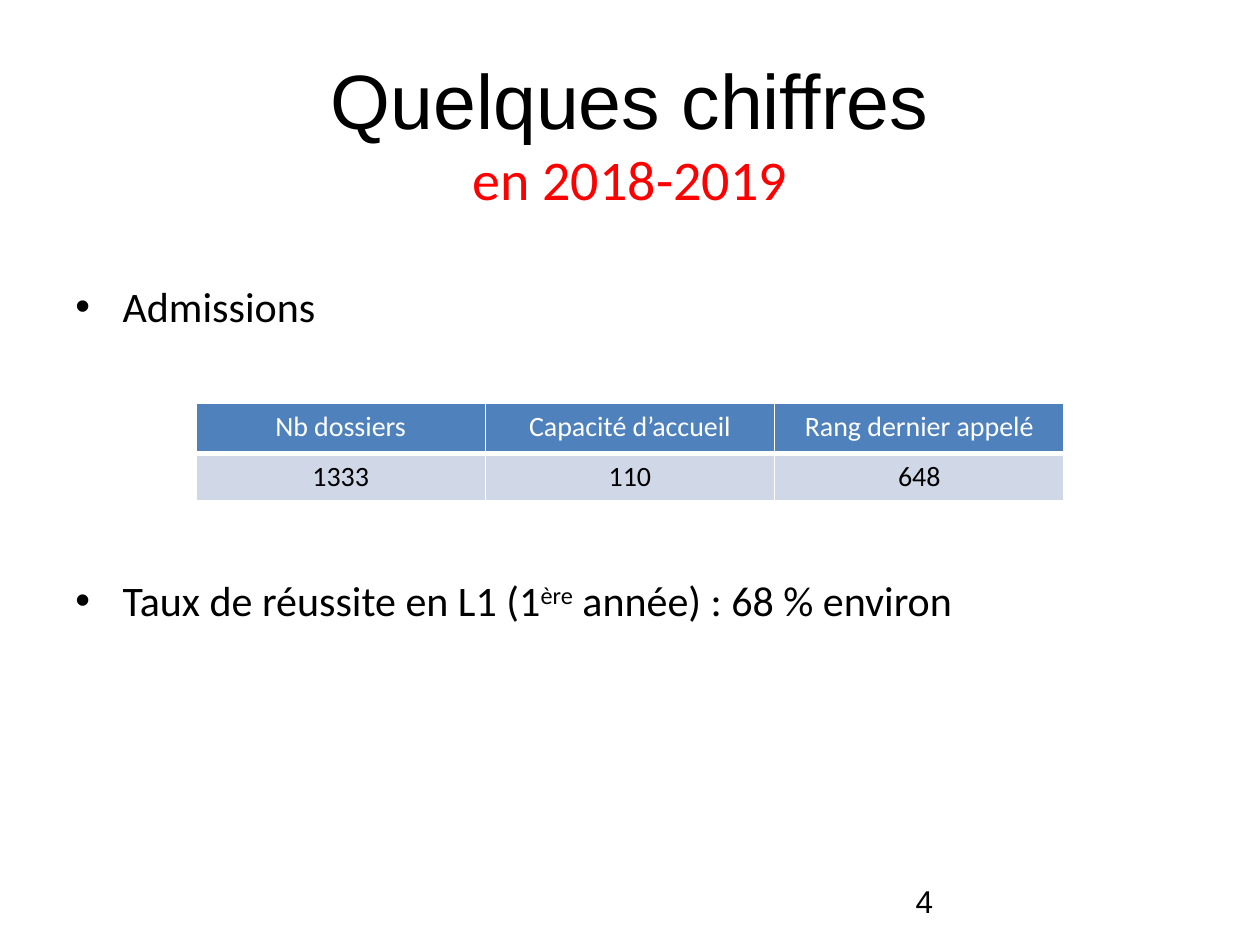
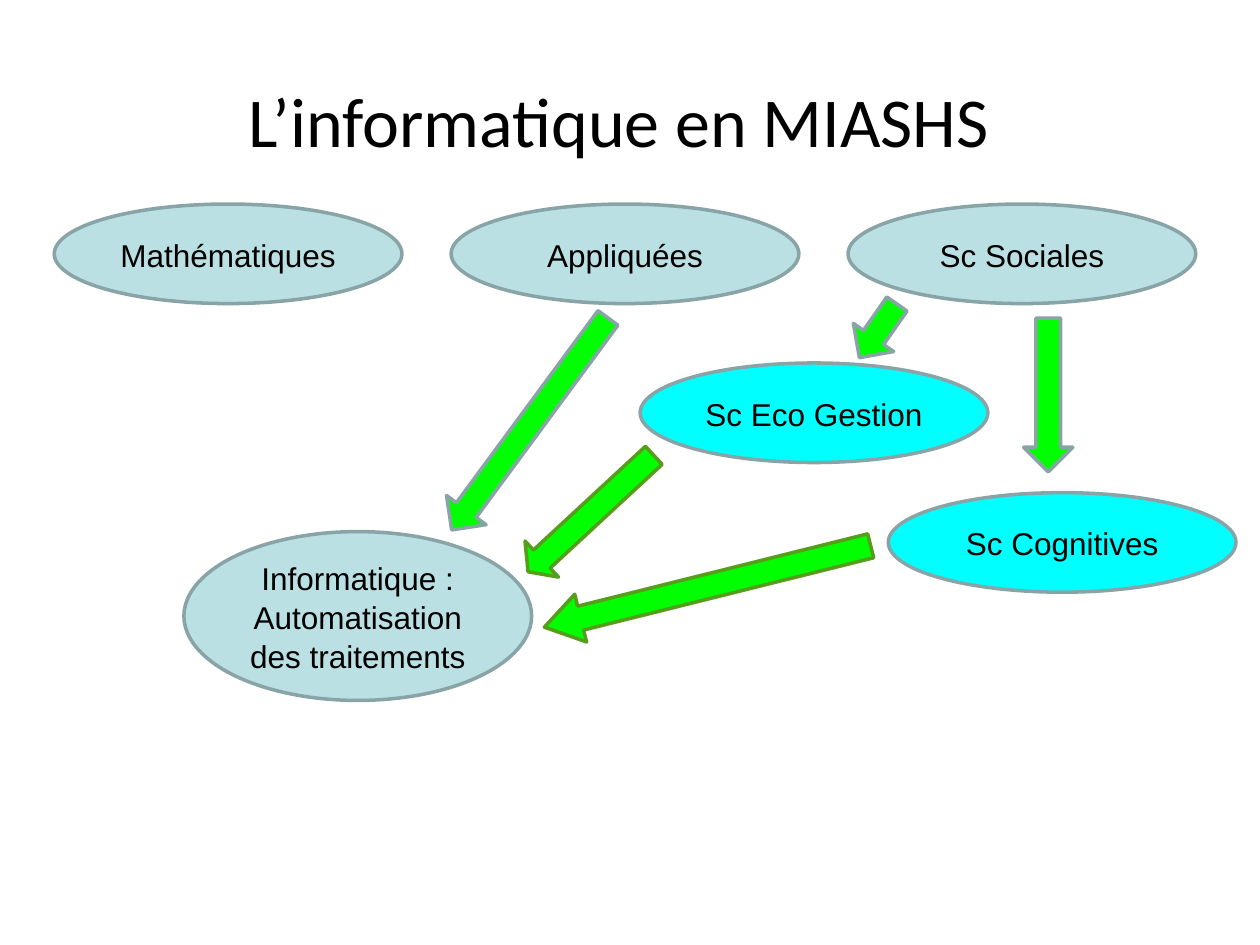
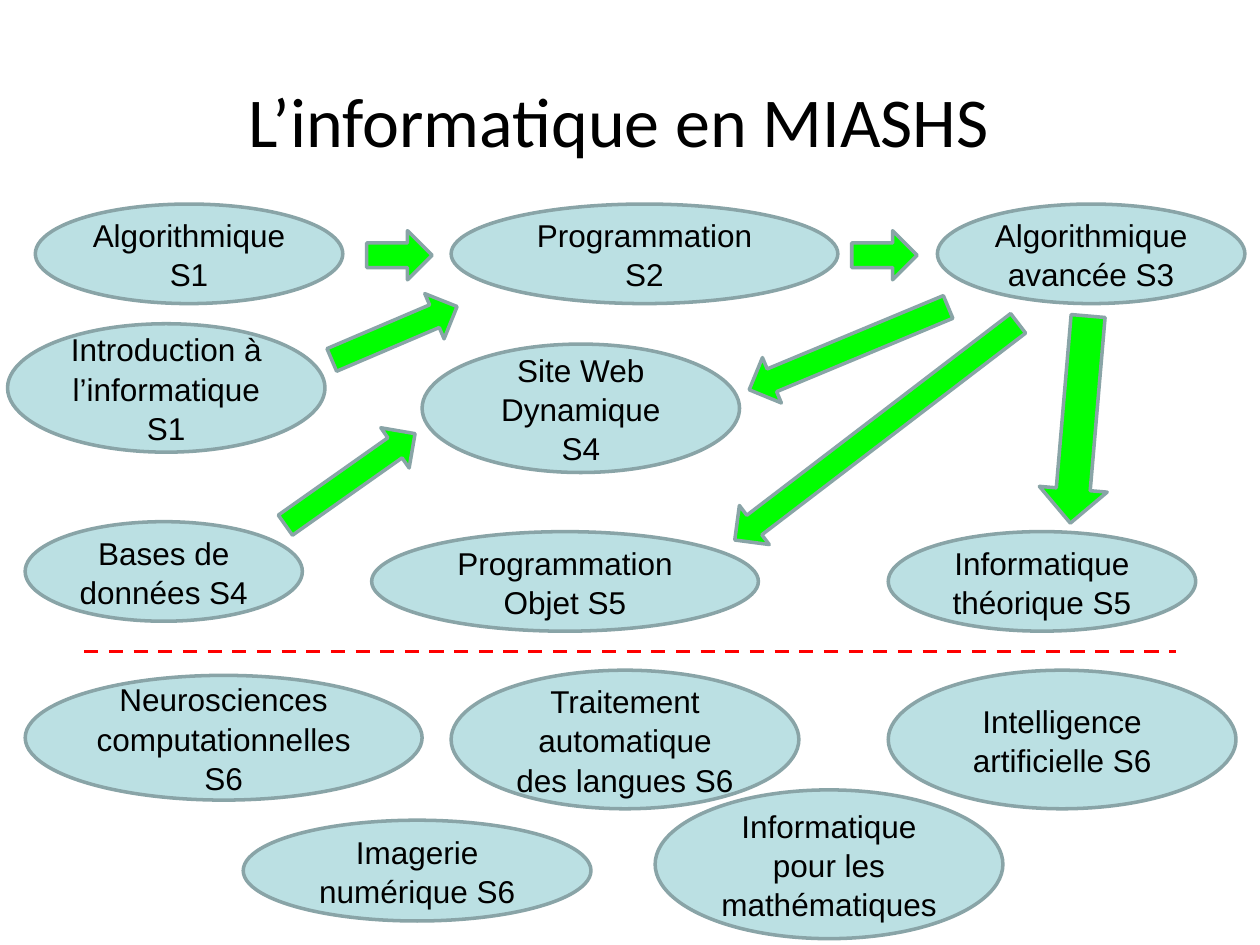
from dataclasses import dataclass

from lxml import etree
from pptx import Presentation
from pptx import util as u
from pptx.dml.color import RGBColor
from pptx.enum import dml, shapes, text
from pptx.oxml.ns import qn

Pt = u.Pt


@dataclass(frozen=True)
class Theme:
    black: str = "000000"
    white: str = "FFFFFF"
    red: str = "FF0000"
    header: str = "4F81BD"
    body_row: str = "D0D8E8"
    topic: str = "BBE0E3"
    option: str = "00FFFF"
    arrow: str = "00FF00"
    outline: str = "89A4A7"
    dark_green: str = "579D1C"
    sans: str = "Arial"
    text_font: str = "Calibri"
    headline: int = 44
    title: int = 40
    subtitle: int = 32
    body: int = 24
    label: int = 18
    cell: int = 16
    stroke: int = 2


THEME = Theme()
OVAL_W, OVAL_H = 198.7, 56.9
ARROW_H = 28.1
TOP_ROW = 116.6


def rgb(color):
    return RGBColor.from_string(color)


def add_span(para, words, size=THEME.label, font=THEME.sans, color=THEME.black, raised=0):
    """Append a run; raised is its superscript offset in percent."""
    span = para.add_run()
    span.text = words
    span.font.size = Pt(size)
    span.font.name = font
    span.font.color.rgb = rgb(color)
    if raised:
        span.font._element.set("baseline", str(raised * 1000))


def add_box(page, left, top, width, height, anchor=text.MSO_ANCHOR.TOP, inset_top=3.6):
    frame = page.shapes.add_textbox(Pt(left), Pt(top), Pt(width), Pt(height)).text_frame
    frame.word_wrap = True
    frame.vertical_anchor = anchor
    frame.margin_top = Pt(inset_top)
    return frame


def add_title(page, words):
    frame = add_box(page, 29.5, 25.9, 648, 79.2, text.MSO_ANCHOR.MIDDLE, inset_top=9)
    para = frame.paragraphs[0]
    para.alignment = text.PP_ALIGN.CENTER
    add_span(para, words, size=THEME.title, font=THEME.text_font)


def make_bullet(para, indent=27):
    props = para._p.get_or_add_pPr()
    props.set("marL", str(Pt(indent)))
    props.set("indent", str(-Pt(indent)))
    etree.SubElement(props, qn("a:buFont"), typeface=THEME.sans)
    etree.SubElement(props, qn("a:buChar"), char="•")


def add_border(cell, side, width):
    line = etree.SubElement(cell._tc.get_or_add_tcPr(), qn(f"a:ln{side}"), w=str(Pt(width)))
    fill = etree.SubElement(line, qn("a:solidFill"))
    etree.SubElement(fill, qn("a:srgbClr"), val=THEME.white)


def add_table(page, rows, left, top, width, heights):
    """Add a table whose first row is the header."""
    frame = page.shapes.add_table(len(rows), len(rows[0]), Pt(left), Pt(top),
                                  Pt(width), Pt(sum(heights)))
    table = frame.table
    table.first_row = table.horz_banding = False
    for row, height in zip(table.rows, heights):
        row.height = Pt(height)
    for r, values in enumerate(rows):
        is_header = r == 0
        for c, value in enumerate(values):
            cell = table.cell(r, c)
            for side in "LRTB":
                under_header = (is_header and side == "B") or (r == 1 and side == "T")
                add_border(cell, side, 3 if under_header else 1)
            cell.fill.solid()
            cell.fill.fore_color.rgb = rgb(THEME.header if is_header else THEME.body_row)
            para = cell.text_frame.paragraphs[0]
            para.alignment = text.PP_ALIGN.CENTER
            add_span(para, value, size=THEME.cell, font=THEME.text_font,
                     color=THEME.white if is_header else THEME.black)


def add_figure(page, kind, left, top, width, height, fill, outline):
    figure = page.shapes.add_shape(kind, Pt(left), Pt(top), Pt(width), Pt(height))
    figure.shadow.inherit = False
    figure.fill.solid()
    figure.fill.fore_color.rgb = rgb(fill)
    figure.line.color.rgb = rgb(outline)
    figure.line.width = Pt(THEME.stroke)
    return figure


def add_oval(page, words, left, top, width=OVAL_W, height=OVAL_H, fill=THEME.topic):
    """Add a labelled ellipse; each line of words is a paragraph."""
    oval = add_figure(page, shapes.MSO_SHAPE.OVAL, left, top, width, height,
                      fill, THEME.outline)
    frame = oval.text_frame
    frame.word_wrap = True
    frame.vertical_anchor = text.MSO_ANCHOR.MIDDLE
    for i, line in enumerate(words.split("\n")):
        para = frame.add_paragraph() if i else frame.paragraphs[0]
        para.alignment = text.PP_ALIGN.CENTER
        para.line_spacing = 1.04
        add_span(para, line)


def add_arrow(page, left, top, length, angle=0, thickness=ARROW_H, head=0.5,
              outline=THEME.outline):
    arrow = add_figure(page, shapes.MSO_SHAPE.RIGHT_ARROW, left, top, length, thickness,
                       THEME.arrow, outline)
    arrow.rotation = angle
    arrow.adjustments[1] = head


def add_separator(page, left, right, y):
    rule = page.shapes.add_connector(shapes.MSO_CONNECTOR.STRAIGHT,
                                     Pt(left), Pt(y), Pt(right), Pt(y))
    rule.line.color.rgb = rgb(THEME.red)
    rule.line.width = Pt(THEME.stroke)
    rule.line.dash_style = dml.MSO_LINE.DASH
    etree.SubElement(rule._element.spPr, qn("a:effectLst"))


def build_figures(page):
    heading = add_box(page, 36, 21.6, 648, 43.9, inset_top=8.3).paragraphs[0]
    heading.alignment = text.PP_ALIGN.CENTER
    add_span(heading, "Quelques chiffres", size=THEME.headline)
    heading.add_line_break()
    add_span(heading, "en 2018-2019", size=THEME.subtitle, font=THEME.text_font,
             color=THEME.red)

    frame = add_box(page, 36, 157, 648, 278)
    admissions, success = frame.paragraphs[0], frame.add_paragraph()
    success.space_before = Pt(139)
    body = dict(size=THEME.body, font=THEME.text_font)
    add_span(admissions, "Admissions", **body)
    add_span(success, "Taux de réussite en L1 (1", **body)
    add_span(success, "ère", raised=30, **body)
    add_span(success, " année) : 68 % environ", **body)
    for para in (admissions, success):
        make_bullet(para)

    add_span(add_box(page, 516.2, 500.4, 167.8, 28.8).paragraphs[0], "4")
    add_table(page, [("Nb dossiers", "Capacité d’accueil", "Rang dernier appelé"),
                     ("1333", "110", "648")],
              left=112, top=230.4, width=496, heights=(28.8, 26.7))


def build_disciplines(page):
    add_title(page, "L’informatique en MIASHS")
    for i, words in enumerate(("Mathématiques", "Appliquées", "Sc Sociales")):
        add_oval(page, words, 31 + 226.8 * i, TOP_ROW)
    add_oval(page, "Sc Cognitives", 507.6, 281.5, fill=THEME.option)
    add_oval(page, "Sc Eco Gestion", 365.8, 207.4, fill=THEME.option)
    add_oval(page, "Informatique :\nAutomatisation des traitements", 105.1, 303.8, height=96.5)

    add_arrow(page, 483.1, 175, 37.4, 125)
    add_arrow(page, 555.1, 211.7, 87.8, 90)
    add_arrow(page, 227.5, 228.2, 150.5, 126.4)
    add_arrow(page, 288.7, 279.4, 97.9, 137.2, head=0.38, outline=THEME.dark_green)
    add_arrow(page, 308.2, 321.1, 192.2, 166, head=0.76, outline=THEME.dark_green)


def build_courses(page):
    add_title(page, "L’informatique en MIASHS")
    narrow, medium, wide = 175.7, 181.4, 221
    tall, optional_row, s5_row = 73.4, 383, 303.8
    for course in (
        ("Algorithmique S1", 20.2, TOP_ROW, narrow),
        ("Programmation S2", 257.8, TOP_ROW, wide),
        ("Algorithmique avancée S3", 535.7, TOP_ROW, narrow),
        ("Introduction à l’informatique S1", 4.3, 185, medium, tall),
        ("Site Web Dynamique S4", 241.2, 196.6, medium, tall),
        ("Bases de données S4", 14.4, 298.1, 158.4),
        ("Programmation Objet S5", 212.4, s5_row, wide),
        ("Informatique théorique S5", 507.6, s5_row, narrow),
        ("Informatique pour les mathématiques", 374.4, 451.4, OVAL_W, 85),
        ("Traitement automatique des langues S6", 257.8, optional_row, OVAL_W, 79.2),
        ("Intelligence artificielle S6", 507.6, optional_row, OVAL_W, 79.2),
        ("Imagerie numérique S6", 139, 468.7, OVAL_W, 57.6),
        ("Neurosciences computationnelles S6", 14.4, 385.9, 226.8, 71.3),
    ):
        add_oval(page, *course)

    for arrow in (
        (209.5, 131.8, 37.4),
        (486.7, 131.8, 37.4),
        (186.5, 176.4, 77.8, 336.9),
        (154.8, 259.9, 90.7, 324.8),
        (423.4, 185, 123.1, 157.4),
        (398.9, 232.6, 203.8, 142.6),
        (557.3, 220.3, 118.8, 94.9, 38.9),
    ):
        add_arrow(page, *arrow)
    add_separator(page, 48.2, 671.8, 372.2)


def main():
    deck = Presentation()
    deck.slide_width, deck.slide_height = Pt(720), Pt(540)
    blank = deck.slide_layouts[6]
    for build in (build_figures, build_disciplines, build_courses):
        build(deck.slides.add_slide(blank))
    deck.save("out.pptx")


if __name__ == "__main__":
    main()
